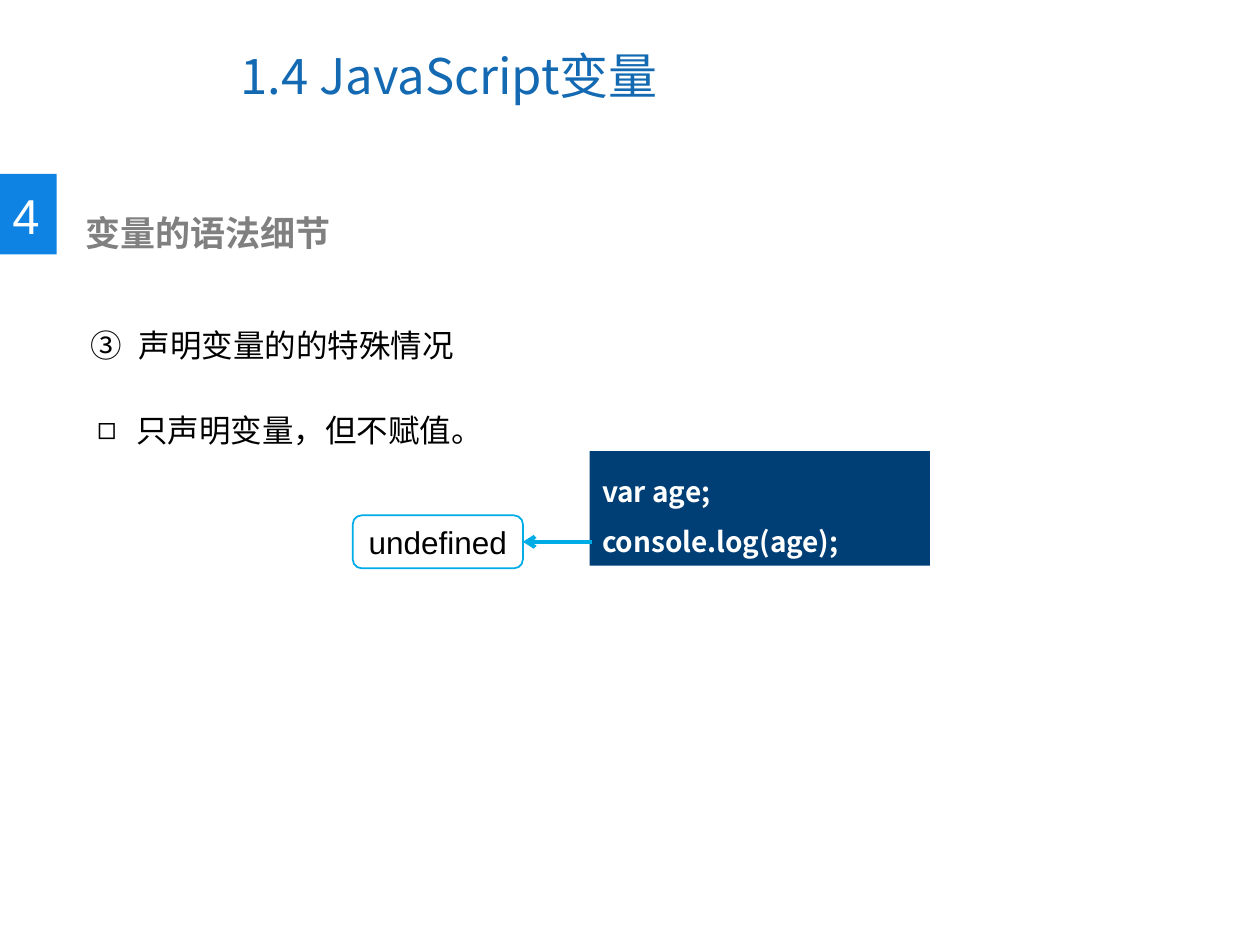
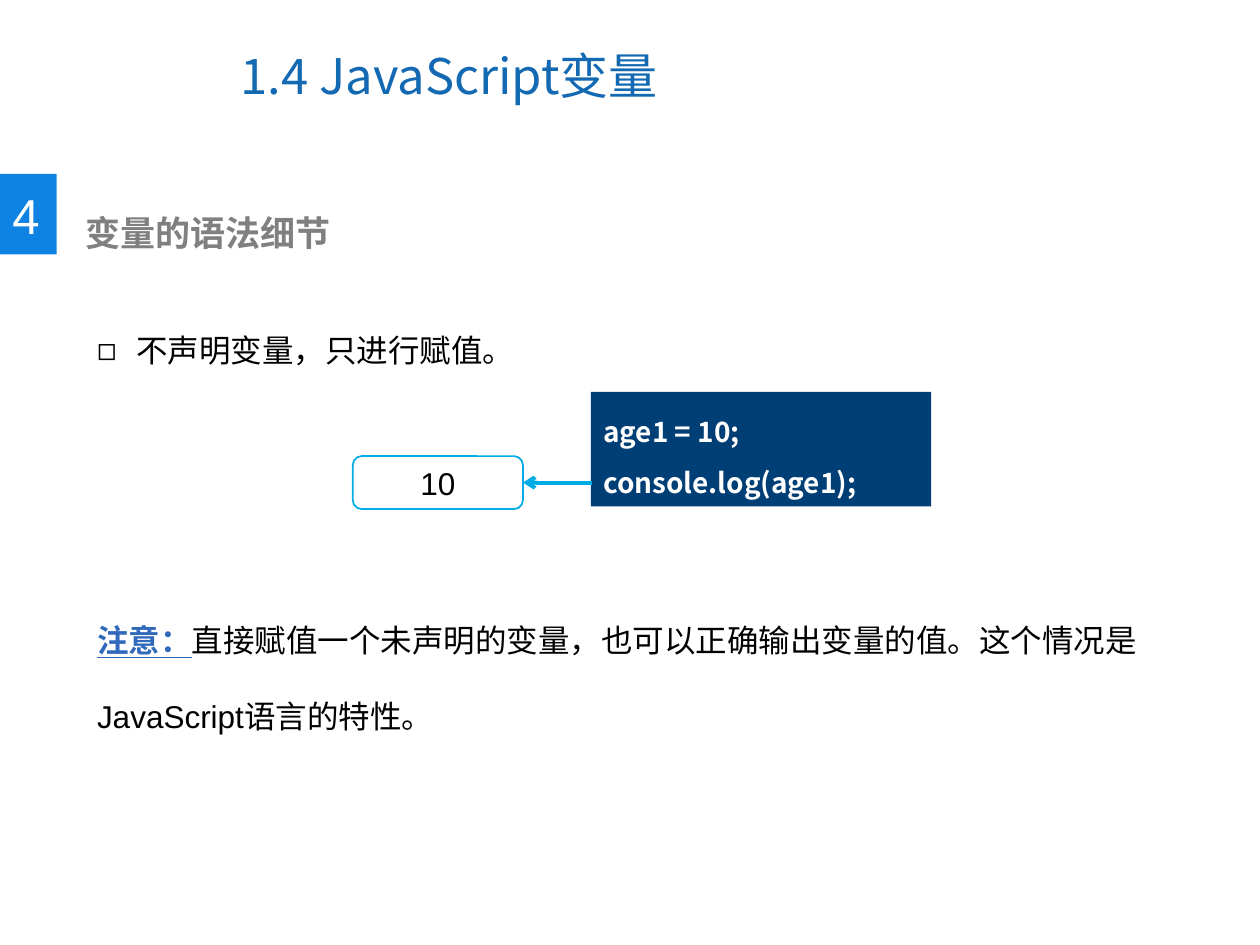
from dataclasses import dataclass

from lxml import etree
from pptx import Presentation
from pptx.dml.color import RGBColor
from pptx.enum.shapes import MSO_CONNECTOR, MSO_SHAPE
from pptx.enum.text import MSO_ANCHOR, MSO_AUTO_SIZE, PP_ALIGN
from pptx.oxml.ns import qn
from pptx.util import Pt

RECT, ROUND = MSO_SHAPE.RECTANGLE, MSO_SHAPE.ROUNDED_RECTANGLE
STRAIGHT = MSO_CONNECTOR.STRAIGHT
TOP, MIDDLE = MSO_ANCHOR.TOP, MSO_ANCHOR.MIDDLE
LEFT, CENTER = PP_ALIGN.LEFT, PP_ALIGN.CENTER
FIXED = MSO_AUTO_SIZE.NONE
SCALE = 9144  # EMU per px, 100 px to the inch
TWO_BODY = 3  # layout with a title and two bodies


@dataclass(frozen=True)
class Theme:
    title: str = "1369B2"
    tag: str = "0F83E3"
    head: str = "808080"
    code: str = "003F75"
    line: str = "00ACE6"
    note: str = "3169BD"
    black: str = "000000"
    white: str = "FFFFFF"
    sans: str = "Arial"
    wide: str = "Noto Sans CJK SC"
    big: int = 28
    mid: int = 20
    base: int = 18
    small: int = 16


T = Theme()
NUMBER = ("buAutoNum", {"type": "circleNumDbPlain", "startAt": "3"})
SQUARE = ("buChar", {"char": "◻"})
PLAIN = ("buNone", {})


def px(n):
    return n * SCALE


def rgb(code):
    return RGBColor.from_string(code)


# Text
def write(para, text, size=T.base, color=T.black, font=T.sans,
          bold=False, under=False, align=LEFT, gap=1.0):
    para.alignment, para.line_spacing = align, gap
    para.space_before = Pt(0)
    run = para.add_run()
    run.text = text
    face = run.font
    face.size, face.name = Pt(size), font
    face.bold, face.underline = bold, under
    face.color.rgb = rgb(color)


def frame(shape, anchor=TOP, wrap=True):
    body = shape.text_frame
    body.auto_size, body.word_wrap = FIXED, wrap
    body.vertical_anchor = anchor
    return body


def place(shape, box):
    shape.left, shape.top, shape.width, shape.height = map(px, box)


def label(slide, box, text, wrap=True, inset=10, **style):
    shape = slide.shapes.add_textbox(*map(px, box))
    body = frame(shape, wrap=wrap)
    body.margin_left = px(inset)
    write(body.paragraphs[0], text, **style)


def item(holder, box, parts, bullet=PLAIN, hang=0):
    """Fill a body with one paragraph made of (text, style) parts."""
    place(holder, box)
    para = frame(holder).paragraphs[0]
    for text, style in parts:
        write(para, text, gap=2.0, **style)
    props = para._p.get_or_add_pPr()
    props.set("marL", str(px(hang)))
    props.set("indent", str(-px(hang)))
    name, attrs = bullet
    etree.SubElement(props, qn("a:" + name), attrs)


# Shapes
def block(slide, kind, box, fill, line=None):
    shape = slide.shapes.add_shape(kind, *map(px, box))
    shape.shadow.inherit = False
    shape.fill.solid()
    shape.fill.fore_color.rgb = rgb(fill)
    if line:
        shape.line.color.rgb = rgb(line)
        shape.line.width = Pt(1)
    else:
        shape.line.fill.background()
    return shape


def arrow(slide, x1, x2, y):
    link = slide.shapes.add_connector(STRAIGHT, px(x1), px(y), px(x2), px(y))
    link.line.color.rgb = rgb(T.line)
    link.line.width = Pt(2.25)
    etree.SubElement(link.line._get_or_add_ln(), qn("a:tailEnd"), type="arrow")
    etree.SubElement(link._element.spPr, qn("a:effectLst"))


def demo(slide, left, top, lines, result):
    """Code panel with an arrow to the value it prints."""
    panel = block(slide, RECT, (left, top, 270, 91), T.code)
    body = frame(panel)
    for n, text in enumerate(lines):
        para = body.add_paragraph() if n else body.paragraphs[0]
        write(para, text, size=T.small, color=T.white, font=T.wide,
              bold=True, gap=1.5)
    arrow(slide, 470, 415, top + 72)
    out = block(slide, ROUND, (280, top + 51, 135, 42), T.white, T.line)
    write(frame(out, MIDDLE).paragraphs[0], result, align=CENTER)


# Parts shared by the slides
def start(deck):
    slide = deck.slides.add_slide(deck.slide_layouts[TWO_BODY])
    title = slide.shapes.title
    place(title, (181, 17, 516, 85))
    write(frame(title, MIDDLE).paragraphs[0], "1.4 JavaScript变量",
          size=T.big, color=T.title, font=T.wide)
    block(slide, RECT, (0, 138, 45, 64), T.tag)
    label(slide, (0, 142, 42, 57), "4", wrap=False, size=T.big, color=T.white)
    label(slide, (47, 163, 514, 44), "变量的语法细节", inset=21,
          size=T.mid, color=T.head, bold=True)
    return slide, slide.placeholders[1], slide.placeholders[2]


def main():
    deck = Presentation()
    deck.slide_width, deck.slide_height = px(1000), px(750)

    # Declared without a value
    slide, first, second = start(deck)
    item(first, (62, 224, 865, 71), [("声明变量的的特殊情况", {})], NUMBER, 38)
    item(second, (67, 291, 876, 61), [("只声明变量，但不赋值。", {})], SQUARE, 31)
    demo(slide, 468, 358, ["var age;", "console.log(age);"], "undefined")

    # Given a value without being declared
    slide, first, second = start(deck)
    item(first, (67, 228, 876, 61), [("不声明变量，只进行赋值。", {})], SQUARE, 31)
    demo(slide, 469, 311, ["age1 = 10;", "console.log(age1);"], "10")
    item(second, (67, 458, 876, 131), [
        ("注意：", {"color": T.note, "bold": True, "under": True}),
        ("直接赋值一个未声明的变量，也可以正确输出变量的值。"
         "这个情况是JavaScript语言的特性。", {}),
    ])

    deck.save("out.pptx")


if __name__ == "__main__":
    main()
